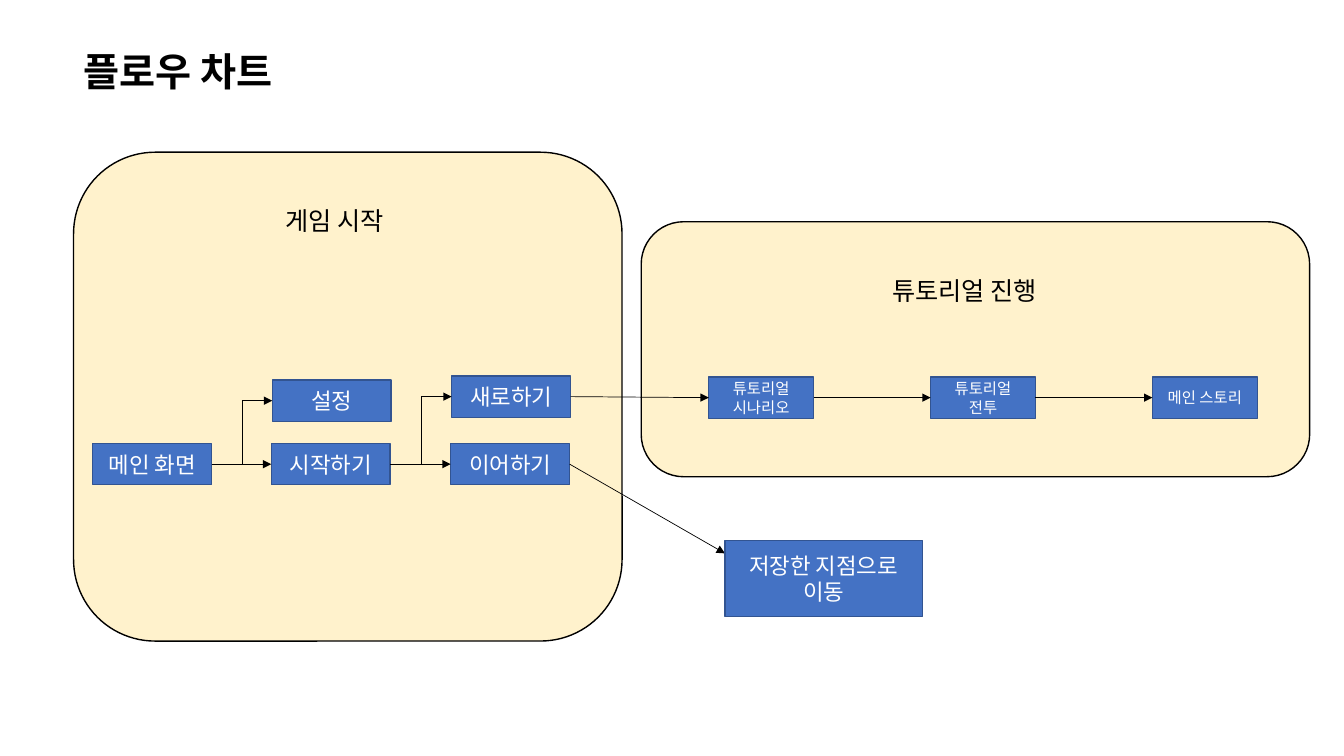
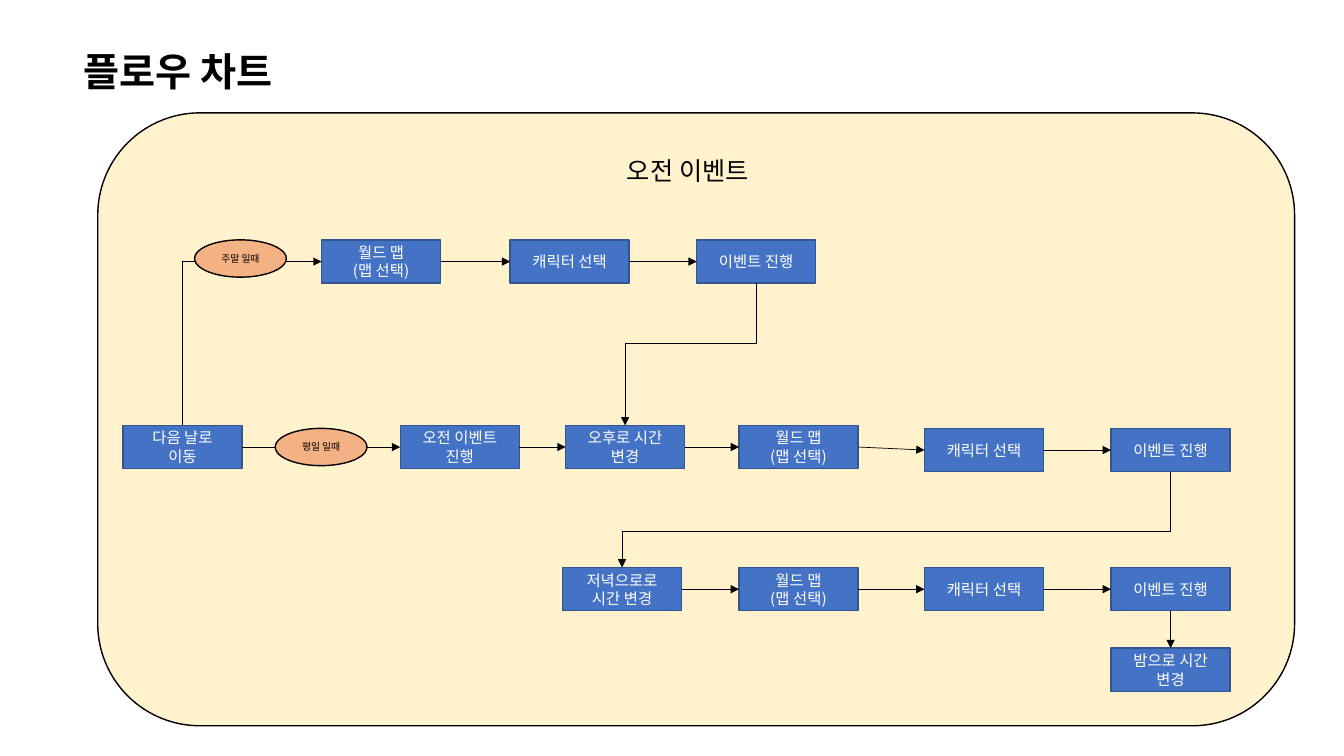
from collections import namedtuple
from itertools import pairwise

from lxml.etree import SubElement
from pptx import Presentation
from pptx.dml.color import RGBColor
from pptx.enum.shapes import MSO_CONNECTOR, MSO_SHAPE
from pptx.enum.text import MSO_ANCHOR, MSO_AUTO_SIZE, PP_ALIGN
from pptx.oxml.ns import qn
from pptx.util import Inches, Pt

BLACK = RGBColor(0x00, 0x00, 0x00)
WHITE = RGBColor(0xFF, 0xFF, 0xFF)
CREAM = RGBColor(0xFF, 0xF2, 0xCC)
BLUE = RGBColor(0x44, 0x72, 0xC4)
NAVY = RGBColor(0x32, 0x54, 0x91)
ORANGE = RGBColor(0xF4, 0xB1, 0x83)

TITLE = "플로우 차트"
TITLE_FONT = "Lato"
BODY_FONT = "Noto Sans CJK KR"
TITLE_ONLY = 5
TOP, LEFT, BOTTOM, RIGHT = range(4)

Box = namedtuple("Box", "left top width height")


def inside(area, x, y, width, height):
    return Box(area.left + x, area.top + y, width, height)


def lengths(box):
    return [Inches(value) for value in box]


def write(frame, text, size=11, color=WHITE, font=BODY_FONT, bold=False,
          align=PP_ALIGN.CENTER, anchor=MSO_ANCHOR.MIDDLE):
    frame.word_wrap = True
    frame.auto_size = MSO_AUTO_SIZE.NONE
    frame.vertical_anchor = anchor
    for index, line in enumerate(text.split("\n")):
        para = frame.add_paragraph() if index else frame.paragraphs[0]
        para.alignment = align
        span = para.add_run()
        span.text = line
        span.font.size = Pt(size)
        span.font.bold = bold
        span.font.name = font
        span.font.color.rgb = color
        east_asian = SubElement(span.font._element, qn("a:ea"))
        east_asian.set("typeface", BODY_FONT)


def add_figure(page, kind, box, fill, line):
    figure = page.shapes.add_shape(kind, *lengths(box))
    figure.shadow.inherit = False
    figure.fill.solid()
    figure.fill.fore_color.rgb = fill
    figure.line.color.rgb = line
    figure.line.width = Pt(1)
    return figure


def add_step(page, box, text, size=11):
    step = add_figure(page, MSO_SHAPE.RECTANGLE, box, BLUE, NAVY)
    write(step.text_frame, text, size=size)
    return step


def add_condition(page, box, text):
    condition = add_figure(page, MSO_SHAPE.OVAL, box, ORANGE, BLACK)
    write(condition.text_frame, text, size=7, color=BLACK)


def add_panel(page, area, caption, caption_box):
    add_figure(page, MSO_SHAPE.ROUNDED_RECTANGLE, area, CREAM, BLACK)
    label = page.shapes.add_textbox(*lengths(caption_box))
    write(label.text_frame, caption, size=18, color=BLACK,
          align=PP_ALIGN.LEFT, anchor=MSO_ANCHOR.TOP)


def port(shape, side):
    x, y = shape.left.inches, shape.top.inches
    width, height = shape.width.inches, shape.height.inches
    return {
        TOP: (x + width / 2, y),
        LEFT: (x, y + height / 2),
        BOTTOM: (x + width / 2, y + height),
        RIGHT: (x + width, y + height / 2),
    }[side]


def add_route(page, *bends, start=None, end=None):
    points = list(bends)
    if start:
        points.insert(0, port(*start))
    if end:
        points.append(port(*end))
    lines = []
    for (x1, y1), (x2, y2) in pairwise(points):
        line = page.shapes.add_connector(
            MSO_CONNECTOR.STRAIGHT, Inches(x1), Inches(y1), Inches(x2), Inches(y2))
        line.line.color.rgb = BLACK
        line.line.width = Pt(0.5)
        SubElement(line._element.spPr, qn("a:effectLst"))
        lines.append(line)
    if start:
        lines[0].begin_connect(*start)
    if end:
        lines[-1].end_connect(*end)
    tail = SubElement(lines[-1].line._get_or_add_ln(), qn("a:tailEnd"))
    tail.set("type", "triangle")


def link_row(page, steps):
    for source, target in pairwise(steps):
        add_route(page, start=(source, RIGHT), end=(target, LEFT))


def add_branch(page, x, source, target):
    add_route(page, (x, port(source, RIGHT)[1]), (x, port(target, LEFT)[1]),
              end=(target, LEFT))


def add_fold(page, y, source, target):
    add_route(page, (port(source, BOTTOM)[0], y), (port(target, TOP)[0], y),
              start=(source, BOTTOM), end=(target, TOP))


def add_page(deck):
    page = deck.slides.add_slide(deck.slide_layouts[TITLE_ONLY])
    title = page.shapes.title
    title.left, title.top, title.width, title.height = lengths(Box(0.73, 0.42, 2.47, 0.57))
    write(title.text_frame, TITLE, size=28, color=BLACK, font=TITLE_FONT, bold=True,
          align=PP_ALIGN.LEFT, anchor=MSO_ANCHOR.TOP)
    return page


def build_start_panel(page, area):
    add_panel(page, area, "게임 시작", inside(area, 2, 0.48, 1.49, 0.4))
    main_screen, start, resume, settings, new_game = [
        add_step(page, inside(area, x, y, 1.18, 0.41), text, size=16)
        for x, y, text in (
            (0.19, 2.89, "메인 화면"),
            (1.96, 2.89, "시작하기"),
            (3.74, 2.89, "이어하기"),
            (1.97, 2.26, "설정"),
            (3.75, 2.22, "새로하기"),
        )
    ]
    link_row(page, (main_screen, start, resume))
    add_branch(page, area.left + 1.67, main_screen, settings)
    add_branch(page, area.left + 3.45, start, new_game)
    return new_game, resume


def build_tutorial_panel(page, area):
    add_panel(page, area, "튜토리얼 진행", inside(area, 2.39, 0.48, 1.94, 0.4))
    texts = ("튜토리얼\n시나리오", "튜토리얼\n전투", "메인 스토리")
    steps = [add_step(page, inside(area, 0.67 + 2.2 * index, 1.54, 1.04, 0.41), text)
             for index, text in enumerate(texts)]
    link_row(page, steps)
    return steps[0]


def build_event_panel(page, area):
    add_panel(page, area, "오전 이벤트", inside(area, 5.15, 0.37, 1.58, 0.4))

    def add_row(*cells):
        return [add_step(page, inside(area, x, y, 1.18, 0.43), text)
                for x, y, text in cells]

    world_map, character, event = "월드 맵\n(맵 선택)", "캐릭터 선택", "이벤트 진행"
    weekend = add_row((2.22, 1.26, world_map), (4.09, 1.26, character),
                      (5.94, 1.26, event))
    weekday = add_row((0.25, 3.1, "다음 날로\n이동"), (3, 3.1, "오전 이벤트 진행"),
                      (4.64, 3.1, "오후로 시간 변경"), (6.36, 3.1, world_map),
                      (8.2, 3.13, character), (10.05, 3.13, event))
    evening = add_row((4.61, 4.51, "저녁으로로\n시간 변경"), (6.36, 4.51, world_map),
                      (8.2, 4.51, character), (10.05, 4.51, event))
    night, = add_row((10.05, 5.31, "밤으로 시간 변경"))

    for row in (weekend, weekday, evening):
        link_row(page, row)
    next_day, afternoon = weekday[0], weekday[2]
    add_route(page, (port(next_day, TOP)[0], port(weekend[0], LEFT)[1]),
              start=(next_day, TOP), end=(weekend[0], LEFT))
    add_fold(page, area.top + 2.29, weekend[-1], afternoon)
    add_fold(page, area.top + 4.15, weekday[-1], evening[0])
    add_route(page, start=(evening[-1], BOTTOM), end=(night, TOP))

    add_condition(page, inside(area, 0.96, 1.26, 0.91, 0.37), "주말 일때")
    add_condition(page, inside(area, 1.76, 3.13, 0.91, 0.37), "평일 일때")


def build_game_start(deck):
    page = add_page(deck)
    new_game, resume = build_start_panel(page, Box(0.73, 1.51, 5.44, 4.85))
    scenario = build_tutorial_panel(page, Box(6.36, 2.2, 6.63, 2.53))
    add_route(page, start=(new_game, RIGHT), end=(scenario, LEFT))
    saved_point = Box(7.19, 5.36, 1.96, 0.76)
    add_route(page, (saved_point.left, saved_point.top + 0.13), start=(resume, RIGHT))
    add_step(page, saved_point, "저장한 지점으로 이동", size=16)


def build_daily_events(deck):
    build_event_panel(add_page(deck), Box(0.97, 1.12, 11.87, 6.08))


def main():
    deck = Presentation()
    deck.slide_width, deck.slide_height = Inches(13.33), Inches(7.5)
    build_game_start(deck)
    build_daily_events(deck)
    deck.save("out.pptx")


if __name__ == "__main__":
    main()
